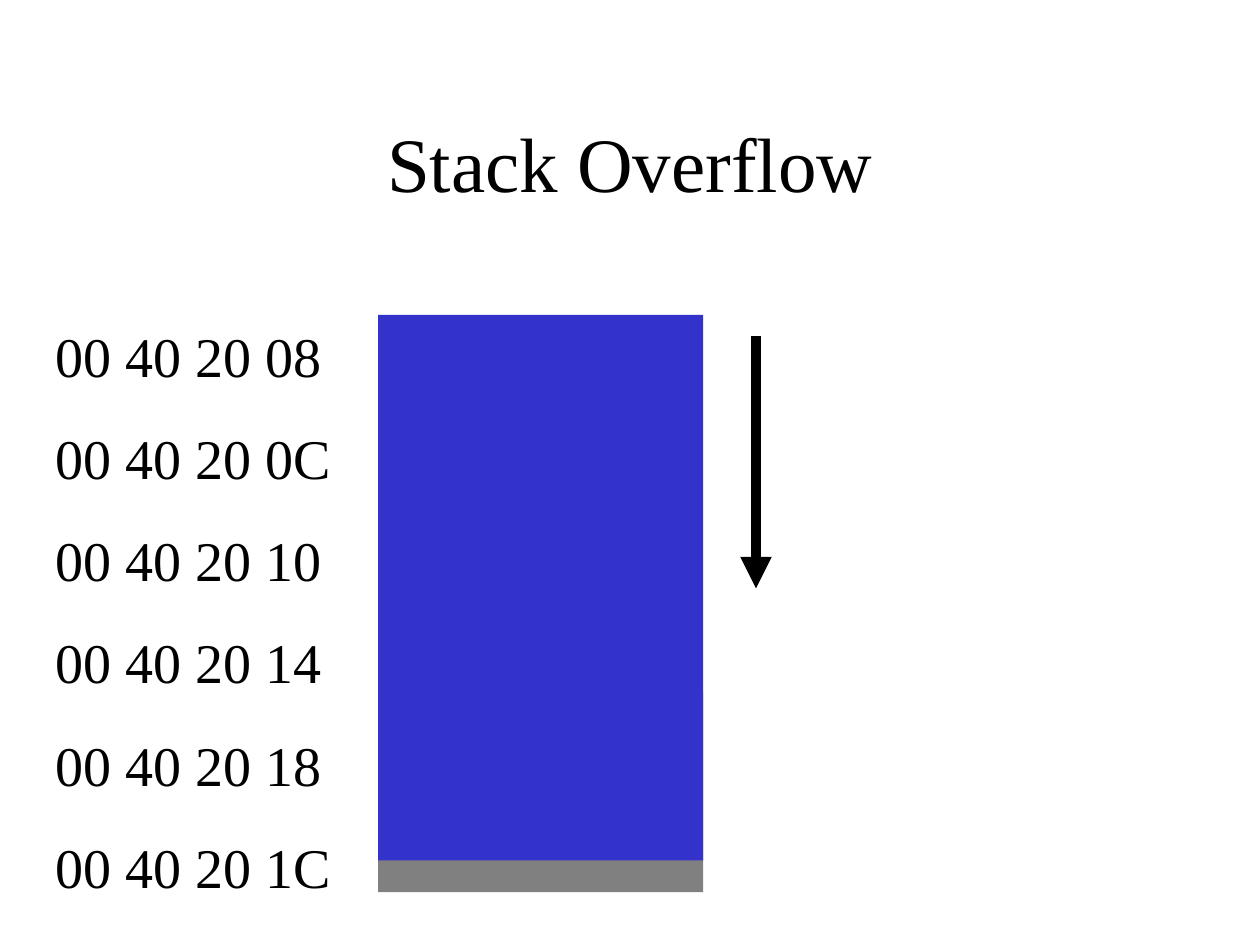
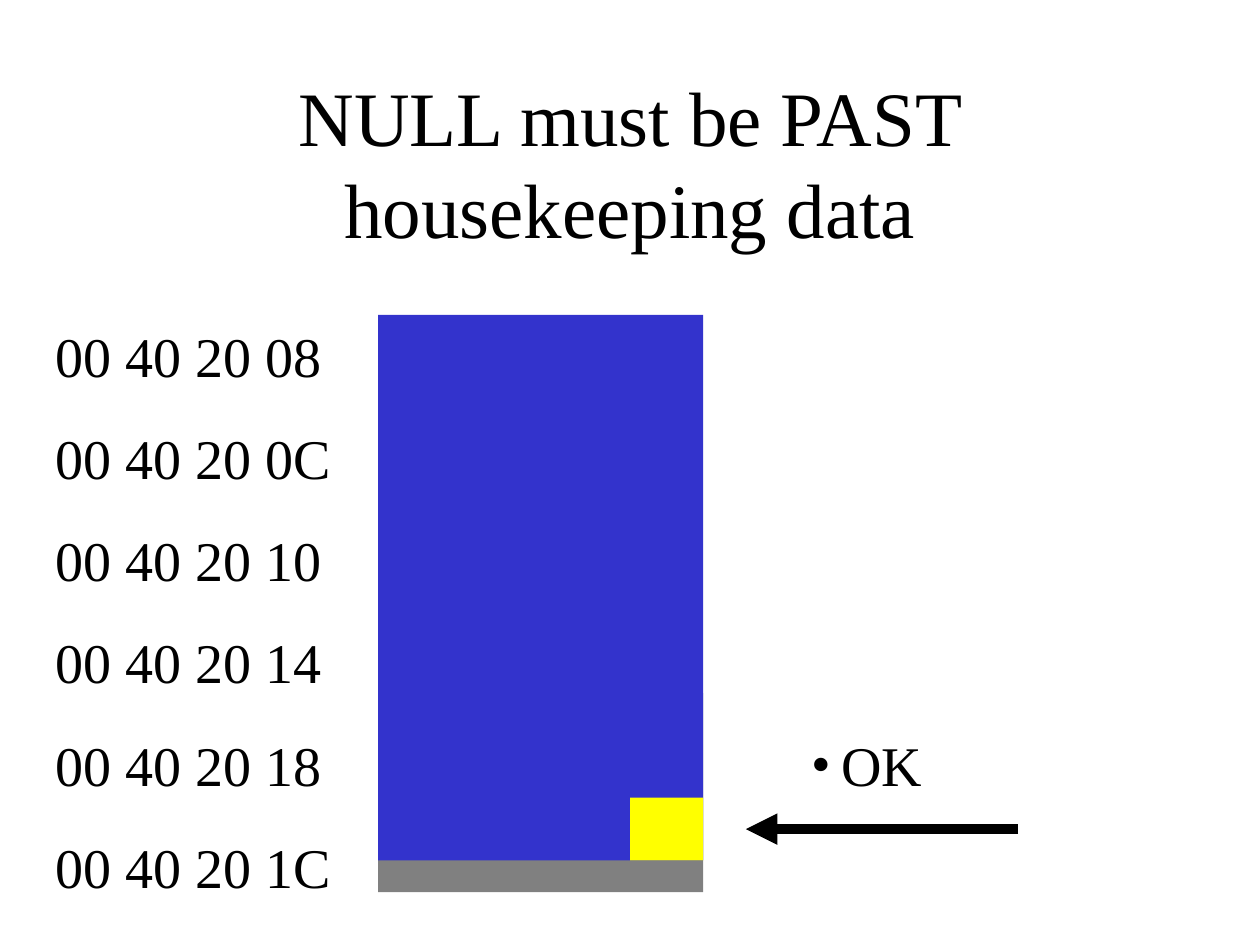
from lxml import etree
from pptx import Presentation
from pptx.dml.color import RGBColor
from pptx.enum import shapes, text
from pptx.oxml import ns
from pptx.util import Inches, Pt

FONT = "Times New Roman"
BLACK, BLUE, GREY, YELLOW = "000000", "3333CC", "808080", "FFFF00"
LEFT, TOP, WIDTH = 3, 2.5, 2.58
CODES = ("08", "0C", "10", "14", "18", "1C")


def color(code):
    return RGBColor.from_string(code)


def add_text(slide, box, lines, size, gap=0, align=text.PP_ALIGN.LEFT,
             anchor=text.MSO_ANCHOR.TOP):
    """Add a text box with one paragraph per line; return its paragraphs."""
    frame = slide.shapes.add_textbox(*map(Inches, box)).text_frame
    frame.word_wrap = True
    frame.vertical_anchor = anchor
    frame.text = "\n".join(lines)
    for para in frame.paragraphs:
        para.alignment = align
        para.space_before = Pt(gap)
        para.font.name = FONT
        para.font.size = Pt(size)
        para.font.color.rgb = color(BLACK)
    return frame.paragraphs


def add_title(slide, title):
    add_text(slide, (0.75, 0.66, 8.5, 1.25), [title], 44,
             align=text.PP_ALIGN.CENTER, anchor=text.MSO_ANCHOR.MIDDLE)


def add_bullet(slide, box, line):
    para = add_text(slide, box, [line], 32, gap=20)[0]
    props = para._p.get_or_add_pPr()
    props.set("marL", str(Inches(0.24)))
    props.set("indent", str(-Inches(0.24)))
    # The bullet goes before the default run properties, as the schema asks.
    for at, (tag, key, value) in enumerate((("a:buFont", "typeface", FONT),
                                            ("a:buChar", "char", "•"))):
        mark = etree.Element(ns.qn(tag), {key: value})
        props.insert(props.index(props.find(ns.qn("a:spcBef"))) + 1 + at, mark)


def add_block(slide, box, fill):
    block = slide.shapes.add_shape(shapes.MSO_SHAPE.RECTANGLE,
                                   *map(Inches, box))
    block.shadow.inherit = False
    block.fill.solid()
    block.fill.fore_color.rgb = color(fill)
    block.line.fill.background()


def add_arrow(slide, start, end):
    arrow = slide.shapes.add_connector(shapes.MSO_CONNECTOR.STRAIGHT,
                                       *map(Inches, start + end))
    arrow.line.width = Pt(6)
    arrow.line.color.rgb = color(BLACK)
    etree.SubElement(arrow.line._get_or_add_ln(), ns.qn("a:tailEnd"),
                     type="triangle")
    etree.SubElement(arrow._element.spPr, ns.qn("a:effectLst"))


def add_stack(deck, title):
    """Add a slide with its title, the addresses and the filled stack."""
    slide = deck.slides.add_slide(deck.slide_layouts[6])
    add_title(slide, title)
    add_block(slide, (LEFT, 5.5, WIDTH, 1.58), GREY)
    add_block(slide, (LEFT, TOP, WIDTH, 4.33), BLUE)
    add_text(slide, (0.34, TOP, 2.42, 4.69),
             [f"00 40 20 {code}" for code in CODES], 32, gap=20)
    return slide


def main():
    deck = Presentation()
    deck.slide_width, deck.slide_height = Inches(10), Inches(7.5)

    slide = add_stack(deck, "Stack Overflow")
    add_arrow(slide, (6, 2.67), (6, 4.67))

    slide = add_stack(deck, "NULL must be PAST housekeeping data")
    add_block(slide, (5, 6.33, 0.58, 0.5), YELLOW)
    add_arrow(slide, (8.08, 6.58), (5.92, 6.58))
    add_bullet(slide, (6.34, 5.75, 3, 0.64), "OK")

    deck.save("out.pptx")


if __name__ == "__main__":
    main()
